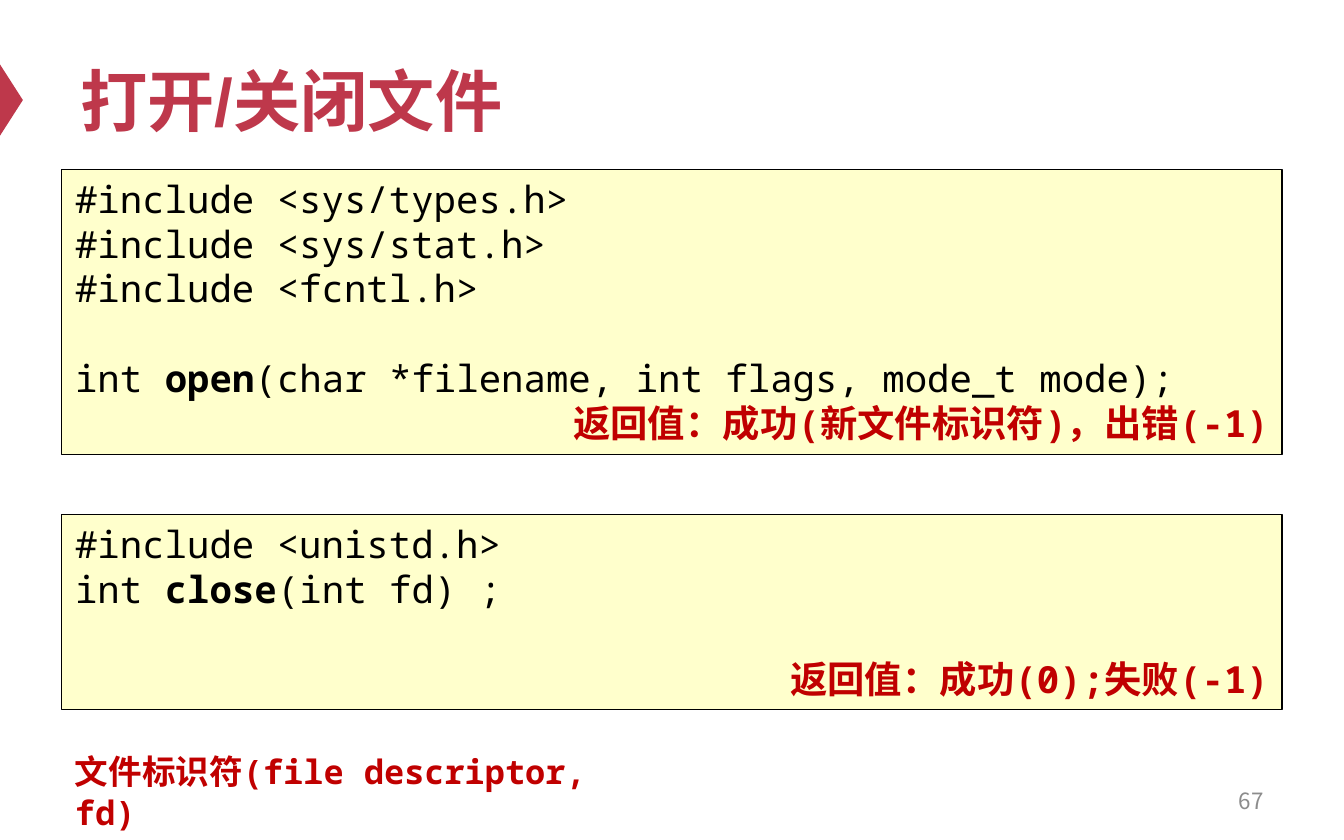
from lxml.etree import SubElement
from pptx import Presentation
from pptx.dml.color import RGBColor
from pptx.enum.shapes import MSO_SHAPE as Shape
from pptx.enum.text import MSO_ANCHOR as Anchor, PP_ALIGN as Align
from pptx.oxml.ns import qn
from pptx.util import Inches, Pt


def color(value):
    return RGBColor.from_string(value)


def write(para, text, look):
    span = para.add_run()
    span.text = text
    span.font.color.rgb = color(look["color"])
    for name in ("name", "size", "bold"):
        setattr(span.font, name, look[name])
    east = SubElement(span.font._element, qn("a:ea"))
    east.set("typeface", "Noto Sans CJK SC")


code = {"name": "Noto Sans Mono", "size": Pt(20), "bold": False, "color": "000000"}
strong = {**code, "bold": True}
result = {**strong, "color": "C00000"}
note = {**result, "size": Pt(18)}
heading = {"name": "Arial", "size": Pt(36), "bold": True, "color": "BE384B"}
number = {"name": "Noto Sans CJK SC", "size": Pt(12), "bold": False, "color": "8C8C8C"}

deck = Presentation()
deck.slide_width, deck.slide_height = Inches(10), Inches(6.25)
page = deck.slides.add_slide(deck.slide_layouts[6])

marker = page.shapes.add_shape(
    Shape.ISOSCELES_TRIANGLE, Inches(-0.18), Inches(0.66), Inches(0.53), Inches(0.17))
marker.rotation = 90
marker.shadow.inherit = False
marker.fill.solid()
marker.fill.fore_color.rgb = color("BE384B")
marker.line.fill.background()

labels = [
    ("打开/关闭文件", (0.5, 0.25, 9, 0.98), heading, Align.LEFT, Anchor.MIDDLE),
    ("67", (7.17, 5.79, 2.33, 0.33), number, Align.RIGHT, Anchor.MIDDLE),
    ("文件标识符(file descriptor, fd)", (0.46, 5.54, 4.37, 0.71), note, Align.LEFT, Anchor.TOP),
]
for text, place, look, align, anchor in labels:
    box = page.shapes.add_textbox(*map(Inches, place))
    box.text_frame.word_wrap = True
    box.text_frame.vertical_anchor = anchor
    para = box.text_frame.paragraphs[0]
    para.alignment = align
    write(para, text, look)

panels = [
    (1.26, 2.12, [
        (0, Align.LEFT, [("#include <sys/types.h>", code)]),
        (0, Align.LEFT, [("#include <sys/stat.h>", code)]),
        (0, Align.LEFT, [("#include <fcntl.h>", code)]),
        (24, Align.LEFT, [("int ", code), ("open", strong),
                          ("(char *filename, int flags, mode_t mode);", code)]),
        (0, Align.RIGHT, [("返回值：成功(新文件标识符)，出错(-1)", result)]),
    ]),
    (3.83, 1.45, [
        (0, Align.LEFT, [("#include <unistd.h>", code)]),
        (0, Align.LEFT, [("int ", code), ("close", strong), ("(int fd) ;", code)]),
        (24, Align.RIGHT, [("返回值：成功(0);失败(-1)", result)]),
    ]),
]
for top, height, lines in panels:
    panel = page.shapes.add_shape(
        Shape.RECTANGLE, Inches(0.46), Inches(top), Inches(9.08), Inches(height))
    panel.shadow.inherit = False
    panel.fill.solid()
    panel.fill.fore_color.rgb = color("FFFFCC")
    panel.line.color.rgb = color("000000")
    panel.line.width = Pt(0.75)
    frame = panel.text_frame
    frame.word_wrap = True
    frame.vertical_anchor = Anchor.TOP
    for index, (gap, align, spans) in enumerate(lines):
        para = frame.add_paragraph() if index else frame.paragraphs[0]
        para.alignment = align
        para.line_spacing = Pt(24)
        if gap:
            para.space_before = Pt(gap)
        for text, look in spans:
            write(para, text, look)

deck.save("out.pptx")
